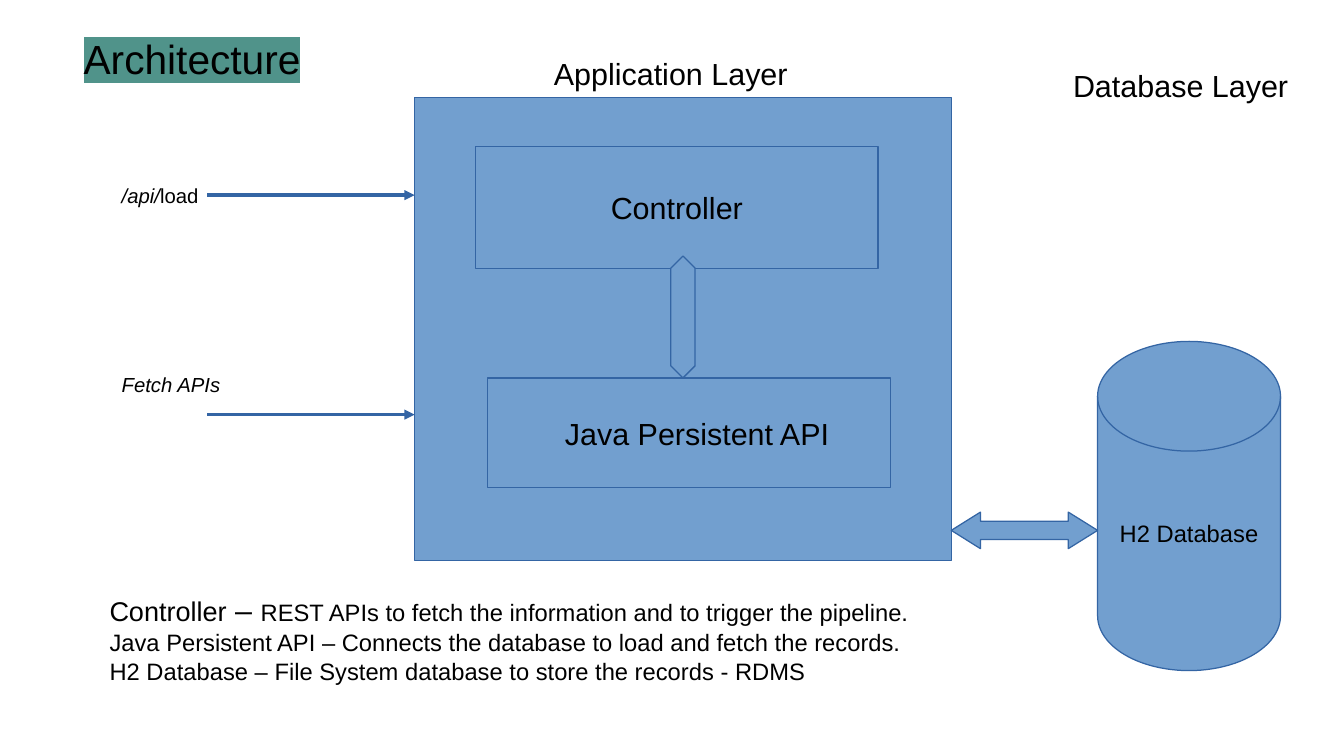
from collections import namedtuple
from dataclasses import dataclass

from lxml.etree import SubElement
from pptx import Presentation
from pptx.dml.color import RGBColor
from pptx.enum.shapes import MSO_CONNECTOR, MSO_SHAPE
from pptx.enum.text import MSO_ANCHOR, PP_ALIGN
from pptx.oxml.ns import qn
from pptx.util import Inches, Pt


@dataclass(frozen=True)
class Theme:
    font: str = "Arial"
    ink: str = "000000"
    fill: str = "729FCF"
    outline: str = "3465A4"
    highlight: str = "50938A"
    title: int = 24
    heading: int = 18
    lead: int = 16
    body: int = 14
    label: int = 12


THEME = Theme()
CELL = Inches(0.1)
Run = namedtuple("Run", "text size italic", defaults=(False,))


class Box(namedtuple("Box", "col row cols rows")):
    def area(self, col, row, cols, rows):
        return Box(self.col + col, self.row + row, cols, rows)

    def emu(self):
        return [round(cells * CELL) for cells in self]


def write(frame, paragraphs, align=PP_ALIGN.LEFT, anchor=MSO_ANCHOR.TOP, wrap=True):
    frame.word_wrap = wrap
    frame.vertical_anchor = anchor
    for index, runs in enumerate(paragraphs):
        paragraph = frame.add_paragraph() if index else frame.paragraphs[0]
        paragraph.alignment = align
        for piece in runs:
            run = paragraph.add_run()
            run.text = piece.text
            run.font.size = Pt(piece.size)
            run.font.italic = piece.italic
            run.font.color.rgb = RGBColor.from_string(THEME.ink)
            run.font.name = THEME.font


def add_text(slide, box, paragraphs, **layout):
    frame = slide.shapes.add_textbox(*box.emu()).text_frame
    write(frame, paragraphs, **layout)
    return frame


def add_block(slide, kind, box, runs=(), adjustments=()):
    block = slide.shapes.add_shape(kind, *box.emu())
    block.shadow.inherit = False
    block.fill.solid()
    block.fill.fore_color.rgb = RGBColor.from_string(THEME.fill)
    block.line.color.rgb = RGBColor.from_string(THEME.outline)
    block.line.width = Pt(0)
    for index, value in enumerate(adjustments):
        block.adjustments[index] = value
    if runs:
        write(block.text_frame, [runs], align=PP_ALIGN.CENTER,
              anchor=MSO_ANCHOR.MIDDLE, wrap=False)
    return block


def title(slide, box):
    frame = add_text(slide, box, [[Run("Architecture", THEME.title)]],
                     align=PP_ALIGN.CENTER, anchor=MSO_ANCHOR.MIDDLE)
    frame.margin_left = frame.margin_right = 0
    frame.margin_top = frame.margin_bottom = 0
    properties = frame.paragraphs[0].runs[0].font._element
    highlight = SubElement(properties, qn("a:highlight"))
    SubElement(highlight, qn("a:srgbClr")).set("val", THEME.highlight)
    properties.find(qn("a:solidFill")).addnext(highlight)


def request(slide, box, runs, label_row, arrow_row):
    add_text(slide, box.area(0, label_row, 15, 3), [runs])
    left, top, width, _ = box.area(8, arrow_row, box.cols - 8, 0).emu()
    arrow = slide.shapes.add_connector(
        MSO_CONNECTOR.STRAIGHT, left, top, left + width, top)
    arrow.line.color.rgb = RGBColor.from_string(THEME.outline)
    arrow.line.width = Pt(0)
    properties = arrow._element.spPr
    SubElement(properties.find(qn("a:ln")), qn("a:tailEnd")).set("type", "triangle")
    SubElement(properties, qn("a:effectLst"))


def requests(slide, box):
    request(slide, box, [Run("/api/", THEME.label, True), Run("load", THEME.label)],
            label_row=0, arrow_row=1.5)
    request(slide, box, [Run("Fetch APIs", THEME.label, True)],
            label_row=15.5, arrow_row=19.5)


def application_layer(slide, box):
    add_text(slide, box.area(5, 0, 32, 3.8), [[Run("Application Layer", THEME.heading)]],
             align=PP_ALIGN.CENTER)
    add_block(slide, MSO_SHAPE.FLOWCHART_PROCESS, box.area(0, 4, box.cols, box.rows - 4))
    add_block(slide, MSO_SHAPE.RECTANGLE, box.area(5, 8, 33, 10),
              [Run("Controller", THEME.heading)])
    persistence = add_block(slide, MSO_SHAPE.RECTANGLE, box.area(6, 27, 33, 9),
                            [Run("Java Persistent API", THEME.heading)])
    persistence.text_frame.margin_left = Inches(0.23)
    add_block(slide, MSO_SHAPE.UP_DOWN_ARROW, box.area(21, 17, 2, 10),
              adjustments=(0.5, 1))


def database_layer(slide, box):
    add_text(slide, box.area(9, 0, 20, 3.8), [[Run("Database Layer", THEME.heading)]])
    add_block(slide, MSO_SHAPE.FLOWCHART_MAGNETIC_DISK, box.area(12, 23, 15, 27),
              [Run("H2 Database", THEME.body)])
    add_block(slide, MSO_SHAPE.LEFT_RIGHT_ARROW, box.area(0, 37, 12, 3),
              adjustments=(0.5, 0.8))


def legend(slide, box):
    add_text(slide, box, [
        [Run("Controller", THEME.lead), Run(" – ", THEME.heading),
         Run("REST APIs to fetch the information and to trigger the pipeline.", THEME.body)],
        [Run("Java Persistent API – Connects the database to load and fetch the records.",
             THEME.body)],
        [Run("H2 Database – File System database to store the records - RDMS", THEME.body)],
    ])


def main():
    presentation = Presentation()
    presentation.slide_width = Inches(11.02)
    presentation.slide_height = Inches(6.2)
    slide = presentation.slides.add_slide(presentation.slide_layouts[6])
    title(slide, Box(5.5, 2.5, 20.5, 4.5))
    application_layer(slide, Box(34, 4, 44, 42))
    requests(slide, Box(9, 14.5, 25, 22))
    database_layer(slide, Box(78, 5, 29, 50))
    legend(slide, Box(8, 48, 71, 11))
    presentation.save("out.pptx")


if __name__ == "__main__":
    main()
